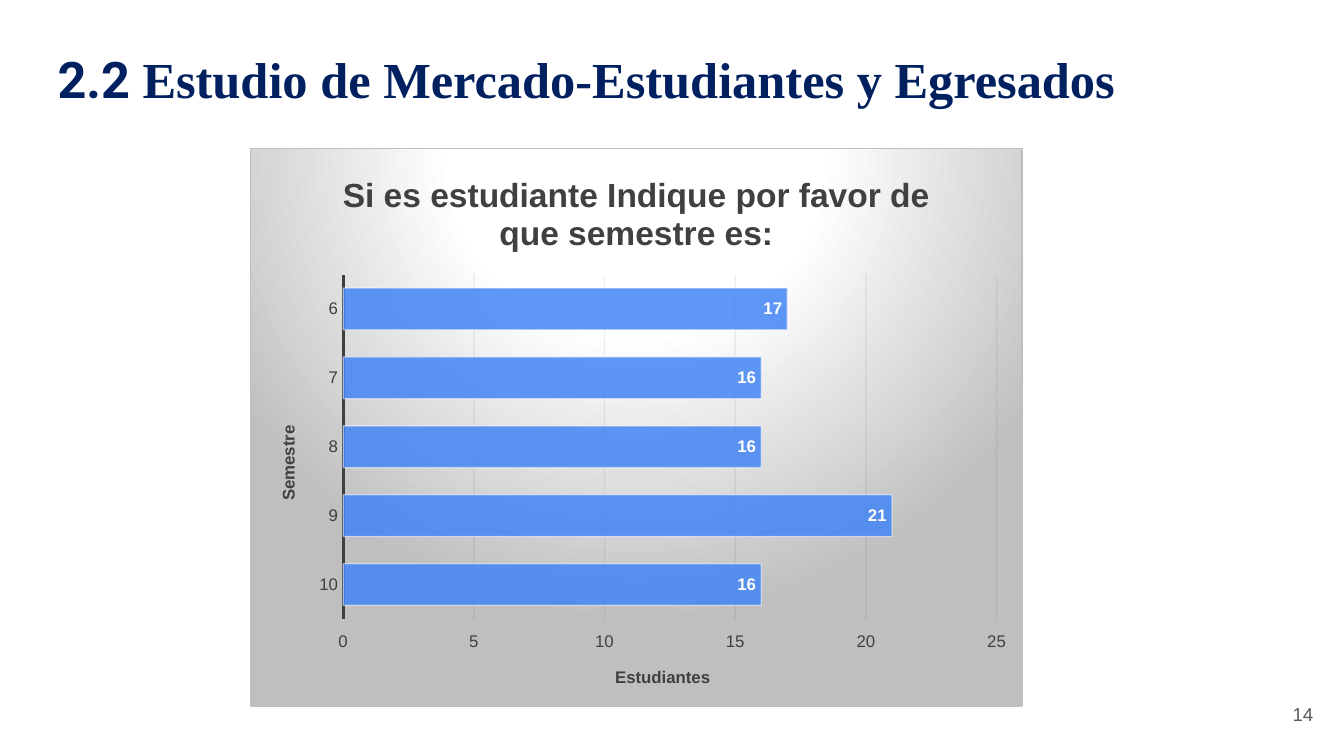
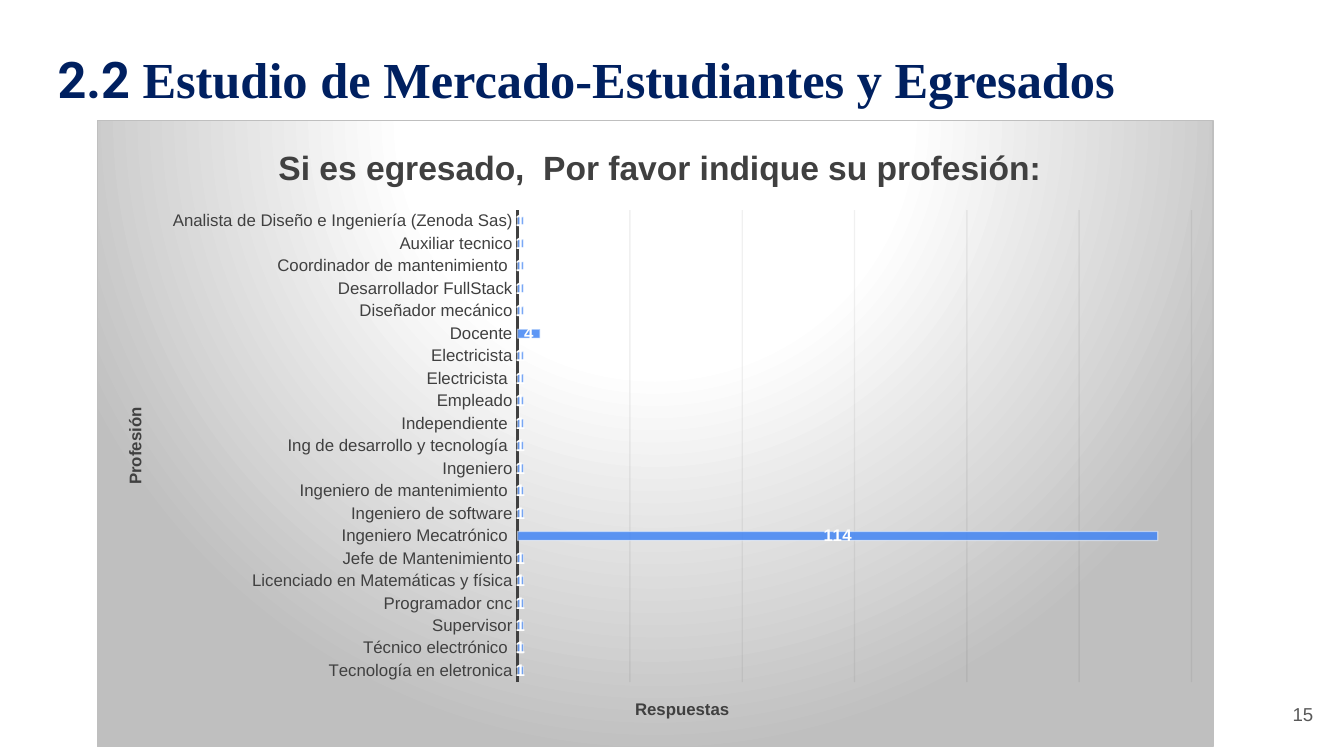
from lxml import etree
from pptx import Presentation
from pptx.chart.data import CategoryChartData
from pptx.dml.color import RGBColor
from pptx.enum.chart import XL_CHART_TYPE as ChartType
from pptx.enum.chart import XL_LABEL_POSITION as LabelPosition
from pptx.enum.chart import XL_TICK_LABEL_POSITION as TickLabels
from pptx.enum.chart import XL_TICK_MARK as TickMark
from pptx.enum.text import MSO_ANCHOR as Anchor
from pptx.enum.text import MSO_AUTO_SIZE as AutoSize
from pptx.enum.text import PP_ALIGN as Align
from pptx.oxml import parse_xml
from pptx.oxml.ns import nsdecls, qn
from pptx.util import Inches, Pt

NAVY, DARK, GRAY = "002060", "404040", "595959"
BLUE, WHITE, SILVER, GRID = "4285F4", "FFFFFF", "BFBFBF", "0D0D0D"
GRADIENT_STOPS = [(0, WHITE), (39, WHITE), (100, SILVER)]


def color(value):
    return RGBColor.from_string(value)


def set_font(font, size, value, bold=False, name="Arial"):
    font.name, font.size, font.bold = name, Pt(size), bold
    font.color.rgb = color(value)


def set_line(line, value, width):
    line.color.rgb = color(value)
    line.width = Pt(width)


def set_opacity(chart, query, percent):
    for node in chart.element.xpath(query + "/a:srgbClr"):
        etree.SubElement(node, qn("a:alpha"), val=str(percent * 1000))


class SurveyDeck:
    """Holds the shared style and the current slide."""

    def __init__(self):
        self.deck = Presentation()
        self.deck.slide_width = Inches(10)
        self.deck.slide_height = Inches(10 * 9 / 16)
        self.page = None

    def add_page(self, number):
        self.page = self.deck.slides.add_slide(self.deck.slide_layouts[6])
        self.add_heading()
        self.add_number(number)

    def add_box(self, left, top, width, height):
        box = self.page.shapes.add_textbox(
            Inches(left), Inches(top), Inches(width), Inches(height))
        box.text_frame.word_wrap = True
        return box.text_frame

    def add_span(self, para, text, size, value, bold=False, name="Arial"):
        span = para.add_run()
        span.text = text
        set_font(span.font, size, value, bold, name)

    def add_heading(self):
        frame = self.add_box(0.33, 0.31, 8.76, 0.56)
        frame.auto_size = AutoSize.SHAPE_TO_FIT_TEXT
        para = frame.paragraphs[0]
        self.add_span(para, "2.2 ", 27, NAVY, True, "Roboto")
        self.add_span(para, "Estudio de Mercado-Estudiantes y Egresados",
                      27, NAVY, True, "Times New Roman")

    def add_number(self, number):
        frame = self.add_box(9.27, 5.1, 0.6, 0.43)
        frame.margin_top = frame.margin_bottom = Inches(0.1)
        frame.vertical_anchor = Anchor.MIDDLE
        para = frame.paragraphs[0]
        para.alignment = Align.RIGHT
        self.add_span(para, str(number), 10, GRAY)

    def add_bars(self, kind, area, plot_area, title, axis_titles, answers,
                 gap, label_position, maximum, step):
        data = CategoryChartData()
        data.categories = [name for name, _ in answers]
        data.add_series("Series 1", [count for _, count in answers])
        chart = self.page.shapes.add_chart(
            kind, *[Inches(length) for length in area], data).chart
        set_font(chart.font, 10, "000000")
        chart.has_legend = False
        chart.has_title = True
        self.add_span(chart.chart_title.text_frame.paragraphs[0],
                      title, 18, DARK, True)
        chart.chart_title.include_in_layout = False

        # Axes
        for axis, text in zip((chart.category_axis, chart.value_axis),
                              axis_titles):
            axis.has_title = True
            self.add_span(axis.axis_title.text_frame.paragraphs[0],
                          text, 9, DARK, True)
            axis.major_tick_mark = axis.minor_tick_mark = TickMark.NONE
            set_font(axis.tick_labels.font, 9, DARK)
        chart.category_axis.reverse_order = True
        set_line(chart.category_axis.format.line, DARK, 1.5)
        values = chart.value_axis
        values.tick_label_position = TickLabels.HIGH
        values.minimum_scale, values.maximum_scale = 0, maximum
        values.major_unit = step
        values.format.line.fill.background()
        values.has_major_gridlines = True
        set_line(values.major_gridlines.format.line, GRID, 0.75)

        # Bars and their labels
        plot = chart.plots[0]
        plot.gap_width = gap
        plot.vary_by_categories = False
        bars = plot.series[0]
        bars.format.fill.solid()
        bars.format.fill.fore_color.rgb = color(BLUE)
        set_line(bars.format.line, WHITE, 0.75)
        labels = bars.data_labels
        labels.show_value = True
        labels.position = label_position
        set_font(labels.font, 9, WHITE, True)

        set_opacity(chart, ".//c:majorGridlines//a:solidFill", 5)
        set_opacity(chart, ".//c:ser/c:spPr/a:solidFill", 85)
        set_opacity(chart, ".//c:ser/c:spPr/a:ln/a:solidFill", 50)
        self.place_plot(chart, area, plot_area)
        self.fill_chart(chart)
        return chart

    def place_plot(self, chart, area, plot_area):
        left, top, width, height = area
        x, y, w, h = plot_area
        parts = {"x": (x - left) / width, "y": (y - top) / height,
                 "w": w / width, "h": h / height}
        plot = chart.element.xpath("c:chart/c:plotArea")[0]
        for old in plot.findall(qn("c:layout")):
            plot.remove(old)
        layout = etree.Element(qn("c:layout"))
        manual = etree.SubElement(layout, qn("c:manualLayout"))
        etree.SubElement(manual, qn("c:layoutTarget"), val="inner")
        for key in "xy":
            etree.SubElement(manual, qn(f"c:{key}Mode"), val="edge")
        for key, share in parts.items():
            etree.SubElement(manual, qn(f"c:{key}"), val=f"{share:.4f}")
        plot.insert(0, layout)

    def fill_chart(self, chart):
        stops = "".join(
            f'<a:gs pos="{place * 1000}"><a:srgbClr val="{value}"/></a:gs>'
            for place, value in GRADIENT_STOPS)
        style = parse_xml(
            f'<c:spPr {nsdecls("c", "a")}>'
            f'<a:gradFill><a:gsLst>{stops}</a:gsLst><a:path path="circle">'
            '<a:fillToRect l="50000" t="-80000" r="50000" b="180000"/>'
            '</a:path></a:gradFill>'
            f'<a:ln w="{Pt(0.75)}"><a:solidFill><a:srgbClr val="{SILVER}"/>'
            '</a:solidFill></a:ln></c:spPr>')
        chart.element.xpath("c:txPr")[0].addprevious(style)


SEMESTERS = [("6", 17), ("7", 16), ("8", 16), ("9", 21), ("10", 16)]

PROFESSIONS = [
    "Analista de Diseño e Ingeniería (Zenoda Sas)", "Auxiliar tecnico",
    "Coordinador de mantenimiento ", "Desarrollador FullStack",
    "Diseñador mecánico", "Docente", "Electricista", "Electricista ",
    "Empleado", "Independiente ", "Ing de desarrollo y tecnología ",
    "Ingeniero", "Ingeniero de mantenimiento ", "Ingeniero de software",
    "Ingeniero Mecatrónico ", "Jefe de Mantenimiento",
    "Licenciado en Matemáticas y física", "Programador cnc", "Supervisor",
    "Técnico electrónico ", "Tecnología en eletronica",
]
# Every other profession was given once
FREQUENT = {"Docente": 4, "Ingeniero Mecatrónico ": 114}


def main():
    survey = SurveyDeck()

    # Students by semester
    survey.add_page(14)
    survey.add_bars(
        ChartType.BAR_CLUSTERED, (1.86, 1.1, 5.75, 4.16),
        (2.55, 2.04, 4.87, 2.57),
        "Si es estudiante Indique por favor de que semestre es:",
        ("Semestre", "Estudiantes"), SEMESTERS,
        gap=65, label_position=LabelPosition.INSIDE_END, maximum=25, step=5)

    # Graduates by profession
    survey.add_page(15)
    chart = survey.add_bars(
        ChartType.BAR_STACKED, (0.72, 0.89, 8.31, 4.67),
        (3.85, 1.56, 5.02, 3.52),
        " Si es egresado,  Por favor indique su profesión:",
        ("Profesión", "Respuestas"),
        [(name, FREQUENT.get(name, 1)) for name in PROFESSIONS],
        gap=150, label_position=LabelPosition.CENTER, maximum=120, step=20)
    chart.plots[0].overlap = 100
    chart.value_axis.visible = False

    survey.deck.save("out.pptx")


if __name__ == "__main__":
    main()
